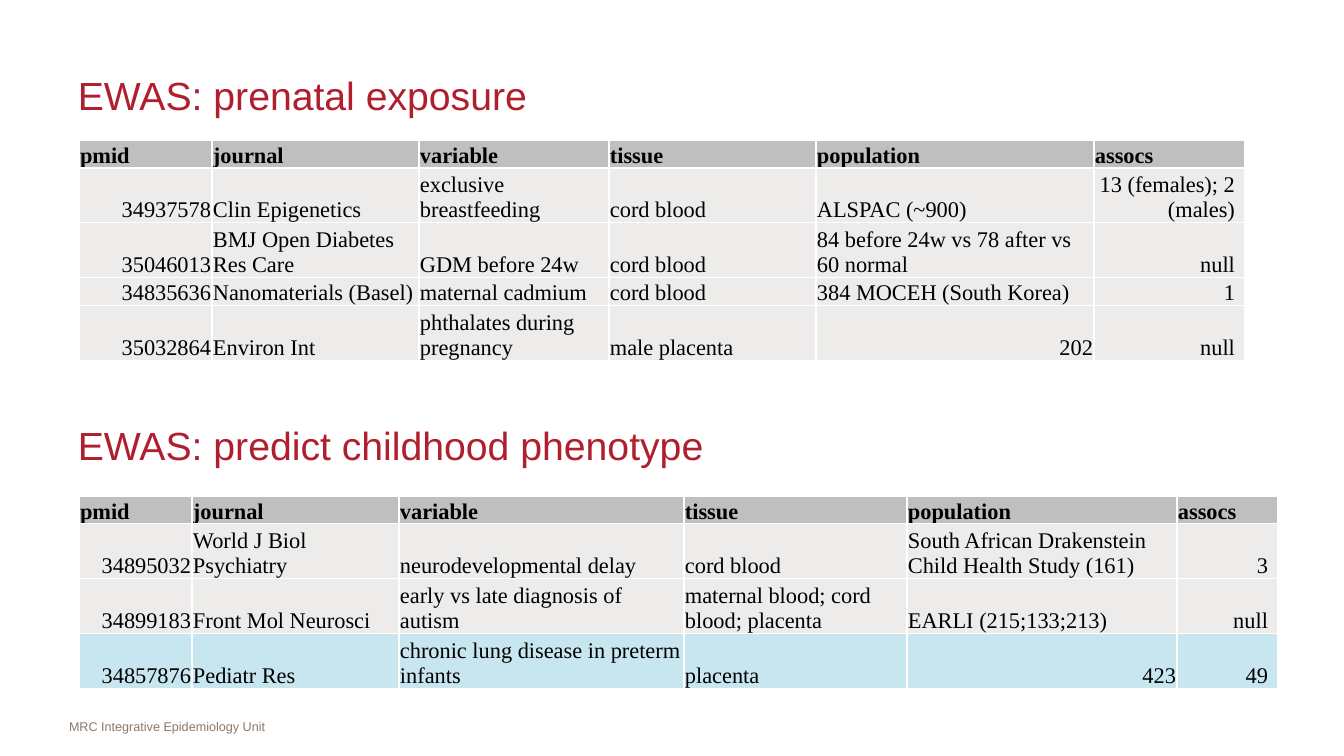
from lxml import etree
from pptx import Presentation
from pptx.dml.color import RGBColor
from pptx.enum.text import MSO_ANCHOR, PP_ALIGN
from pptx.oxml.ns import qn
from pptx.util import Inches, Pt

MIDDLE, BOTTOM = MSO_ANCHOR.MIDDLE, MSO_ANCHOR.BOTTOM
LEFT, RIGHT = PP_ALIGN.LEFT, PP_ALIGN.RIGHT
HEADER, BODY, HIGHLIGHT, BORDER = "BFBFBF", "EDECEB", "C7E6F0", "FFFFFF"

HEADINGS = ["pmid", "journal", "variable", "tissue", "population", "assocs"]
EXPOSURE = [
    ["34937578", "Clin Epigenetics", "exclusive breastfeeding", "cord blood",
     "ALSPAC (~900)", "13 (females); 2 (males)"],
    ["35046013", "BMJ Open Diabetes Res Care", "GDM before 24w", "cord blood",
     "84 before 24w vs 78 after vs 60 normal", "null"],
    ["34835636", "Nanomaterials (Basel)", "maternal cadmium", "cord blood",
     "384 MOCEH (South Korea)", "1"],
    ["35032864", "Environ Int", "phthalates during pregnancy", "male placenta",
     "202", "null"],
]
PHENOTYPE = [
    ["34895032", "World J Biol Psychiatry", "neurodevelopmental delay", "cord blood",
     "South African Drakenstein Child Health Study (161)", "3"],
    ["34899183", "Front Mol Neurosci", "early vs late diagnosis of autism",
     "maternal blood; cord blood; placenta", "EARLI (215;133;213)", "null"],
    ["34857876", "Pediatr Res", "chronic lung disease in preterm infants", "placenta",
     "423", "49"],
]


def px(n):
    return round(Inches(n) / 100.8)


def rgb(color):
    return RGBColor.from_string(color)


class Deck:
    title = {"size": Pt(28), "name": "Arial", "color": "B01F2E"}
    footer = {"size": Pt(9), "name": "Arial", "color": "8A7967"}
    table_text = {"size": Pt(16), "name": "Times New Roman", "color": "000000"}

    def __init__(self, prs):
        self.s = prs.slides.add_slide(prs.slide_layouts[6])

    def add_run(self, tf, text, style, align=LEFT, bold=False):
        p = tf.paragraphs[0]
        p.alignment = align
        r = p.add_run()
        r.text = text
        r.font.bold = bold
        for key, value in style.items():
            if key == "color":
                r.font.color.rgb = rgb(value)
            else:
                setattr(r.font, key, value)

    def text(self, box, text, style, **frame):
        tf = self.s.shapes.add_textbox(*map(px, box)).text_frame
        tf.word_wrap = True
        for key, value in frame.items():
            setattr(tf, key, value)
        self.add_run(tf, text, style)

    def borders(self, cell):
        tcPr = cell._tc.get_or_add_tcPr()
        for side in ("lnL", "lnR", "lnT", "lnB"):
            ln = etree.SubElement(tcPr, qn("a:" + side), w=str(Pt(1)))
            fill = etree.SubElement(ln, qn("a:solidFill"))
            etree.SubElement(fill, qn("a:srgbClr"), val=BORDER)

    def cell(self, cell, text, fill, align, bold, margin_right):
        frame = {"vertical_anchor": BOTTOM, "margin_left": px(1), "margin_top": px(1),
                 "margin_right": px(margin_right), "margin_bottom": 0}
        for key, value in frame.items():
            setattr(cell, key, value)
        self.borders(cell)
        cell.fill.solid()
        cell.fill.fore_color.rgb = rgb(fill)
        self.add_run(cell.text_frame, text, self.table_text, align, bold)

    def table(self, x, y, height, widths, rows, highlight=()):
        rows = [HEADINGS] + rows
        frame = self.s.shapes.add_table(len(rows), len(widths), px(x), px(y),
                                        px(sum(widths)), px(height))
        table = frame.table
        table.first_row = table.horz_banding = False
        for column, width in zip(table.columns, widths):
            column.width = px(width)
        for i, row in enumerate(rows):
            table.rows[i].height = px(20)  # rows grow to fit their text
            head = i == 0
            fill = HEADER if head else HIGHLIGHT if row[0] in highlight else BODY
            for j, text in enumerate(row):
                result = not head and j == len(row) - 1
                align = RIGHT if result or text.isdigit() else LEFT
                self.cell(table.cell(i, j), text, fill, align, head, 10 if result else 1)
        frame.height = px(height)


def main():
    prs = Presentation()
    prs.slide_width, prs.slide_height = px(1344), px(756)
    deck = Deck(prs)

    # Footer
    deck.text((69, 714, 325, 25), "MRC Integrative Epidemiology Unit", deck.footer,
              margin_left=0, margin_right=0)

    # Prenatal exposure studies
    deck.text((68, 50, 1199, 90), "EWAS: prenatal exposure", deck.title,
              vertical_anchor=MIDDLE)
    deck.table(79, 140, 245, [133, 207, 190, 207, 278, 151], EXPOSURE)

    # Childhood phenotype studies
    deck.text((68, 400, 1199, 90), "EWAS: predict childhood phenotype", deck.title,
              vertical_anchor=MIDDLE)
    deck.table(79, 496, 191, [113, 207, 285, 223, 270, 101], PHENOTYPE,
               highlight=["34857876"])

    prs.save("out.pptx")


if __name__ == "__main__":
    main()
